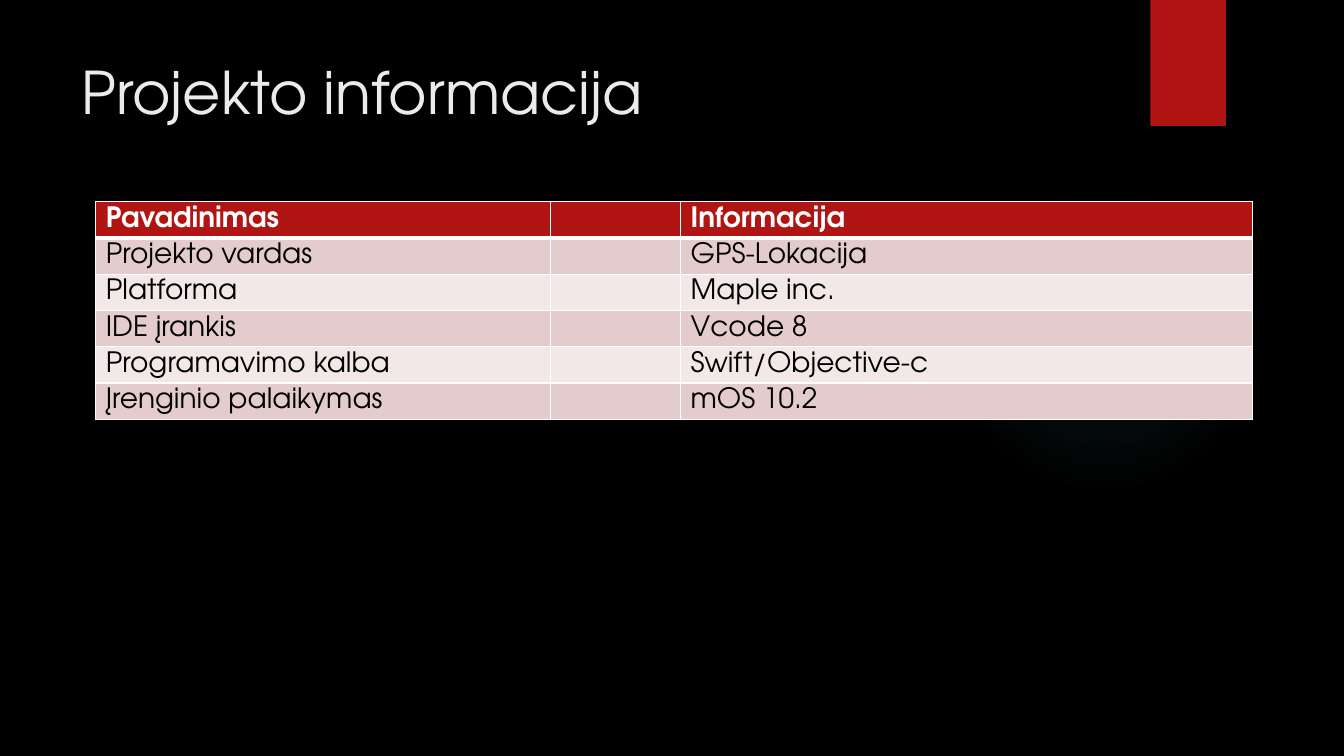
import pptx
import pptx.util
import pptx.dml.color
import pptx.enum.shapes
import pptx.enum.text
import pptx.oxml
import pptx.oxml.ns

Inches = pptx.util.Inches
Pt = pptx.util.Pt
RGB = pptx.dml.color.RGBColor.from_string
Shape = pptx.enum.shapes.MSO_SHAPE
Anchor = pptx.enum.text.MSO_ANCHOR
Align = pptx.enum.text.PP_ALIGN
nsdecls = pptx.oxml.ns.nsdecls

hues = {
    "back": "000000", "red": "B01513", "glow": "50B9C1", "title": "EBEBEB",
    "white": "FFFFFF", "black": "000000", "odd": "E4CCCC", "even": "F2E8E7",
}


def write(frame, text, size=20, hue="black", bold=False):
    frame.word_wrap = True
    line = frame.paragraphs[0]
    line.alignment = Align.LEFT
    run = line.add_run()
    run.text = text
    run.font.name = "TeX Gyre Adventor"
    run.font.size = Pt(size)
    run.font.bold = bold
    run.font.color.rgb = RGB(hues[hue])


deck = pptx.Presentation()
deck.slide_width = Inches(13.33)
deck.slide_height = Inches(7.5)
slide = deck.slides.add_slide(deck.slide_layouts[5])
slide.background.fill.solid()
slide.background.fill.fore_color.rgb = RGB(hues["back"])

glow = slide.shapes.add_shape(
    Shape.OVAL, Inches(9.41), Inches(1.83), Inches(3.08), Inches(3.08))
glow.shadow.inherit = False
glow.line.fill.background()
glow.fill.background()
stops = "".join(
    f'<a:gs pos="{pos * 1000}"><a:srgbClr val="{hues["glow"]}">'
    f'<a:alpha val="{alpha * 1000}"/></a:srgbClr></a:gs>'
    for pos, alpha in [(0, 7), (36, 6), (69, 0), (100, 0)])
blend = pptx.oxml.parse_xml(
    f'<a:gradFill {nsdecls("a")} rotWithShape="1"><a:gsLst>{stops}</a:gsLst>'
    '<a:path path="circle">'
    '<a:fillToRect l="50000" t="50000" r="50000" b="50000"/>'
    '</a:path></a:gradFill>')
props = glow.element.spPr
props.replace(props.find(pptx.oxml.ns.qn("a:noFill")), blend)

flag = slide.shapes.add_shape(
    Shape.RECTANGLE, Inches(11.41), 0, Inches(0.75), Inches(1.25))
flag.shadow.inherit = False
flag.line.fill.background()
flag.fill.solid()
flag.fill.fore_color.rgb = RGB(hues["red"])

title = slide.shapes.title
title.left, title.top = Inches(0.71), Inches(0.5)
title.width, title.height = Inches(10.29), Inches(1.53)
title.text_frame.vertical_anchor = Anchor.TOP
write(title.text_frame, "Projekto informacija", size=42, hue="title")

facts = [
    ("Pavadinimas", "Informacija"),
    ("Projekto vardas", "GPS-Lokacija"),
    ("Platforma", "Maple inc."),
    ("IDE įrankis", "Vcode 8"),
    ("Programavimo kalba", "Swift/Objective-c"),
    ("Įrenginio palaikymas", "mOS 10.2"),
]
widths = [4.51, 1.29, 5.67]
high = 0.36
table = slide.shapes.add_table(
    len(facts), len(widths), Inches(0.95), Inches(2),
    Inches(sum(widths)), Inches(high * len(facts))).table
for col, width in zip(table.columns, widths):
    col.width = Inches(width)

for r, (name, value) in enumerate(facts):
    table.rows[r].height = Inches(high)
    head = r == 0
    fill = "red" if head else "odd" if r % 2 else "even"
    for c, text in enumerate([name, "", value]):
        cell = table.cell(r, c)
        cell.vertical_anchor = Anchor.TOP
        cell.margin_left = cell.margin_right = Inches(0.1)
        cell.margin_top = Inches(0.05)
        cell.margin_bottom = 0
        if text:
            write(cell.text_frame, text,
                  hue="white" if head else "black", bold=head)
        for side in "LRTB":
            thick = 3 if (side, r) in [("B", 0), ("T", 1)] else 1
            cell._tc.get_or_add_tcPr().append(pptx.oxml.parse_xml(
                f'<a:ln{side} {nsdecls("a")} w="{Pt(thick)}"><a:solidFill>'
                f'<a:srgbClr val="{hues["white"]}"/></a:solidFill></a:ln{side}>'))
        cell.fill.solid()
        cell.fill.fore_color.rgb = RGB(hues[fill])

deck.save("out.pptx")
